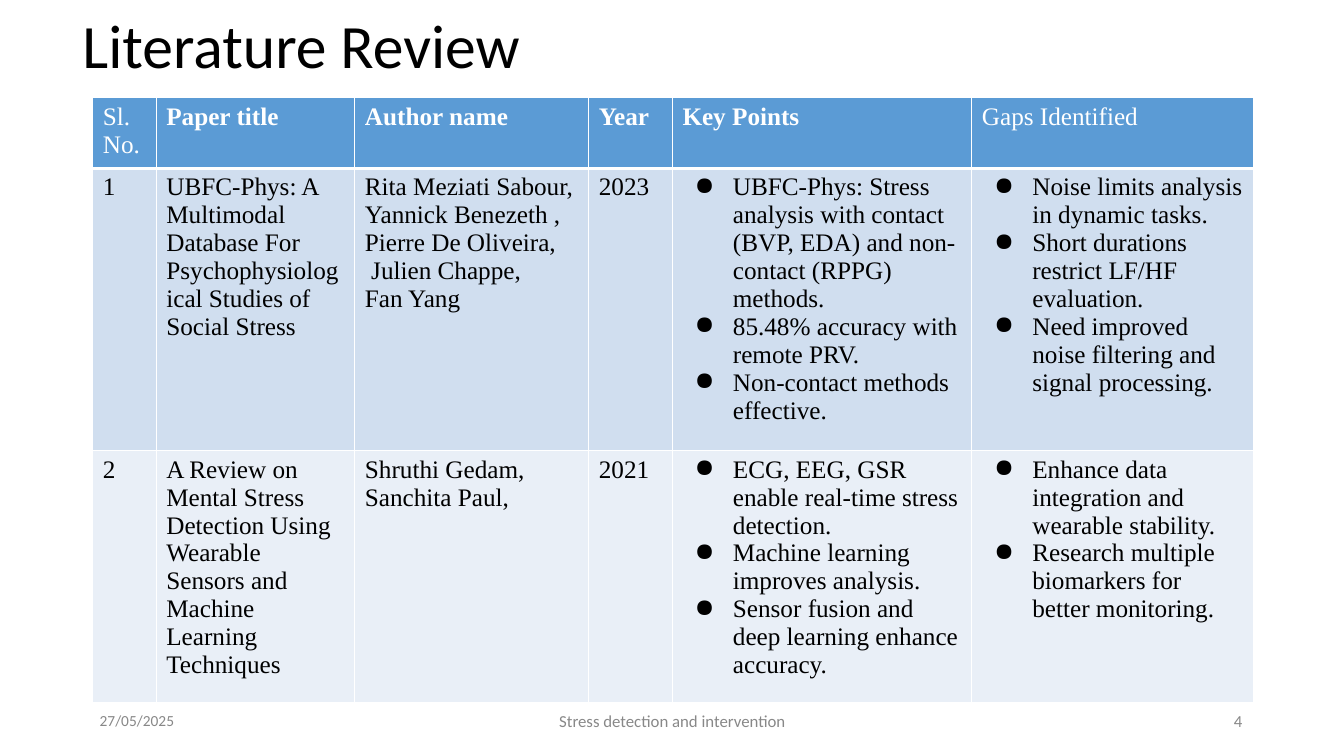
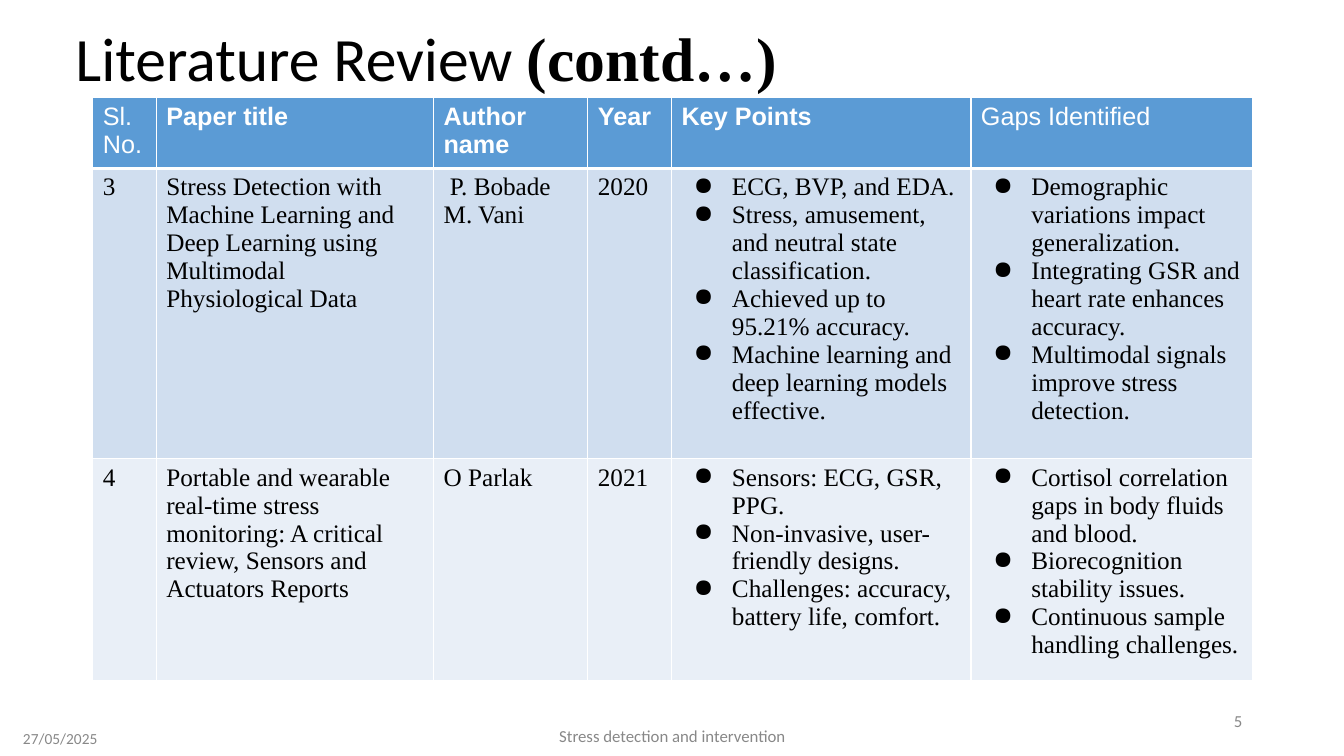
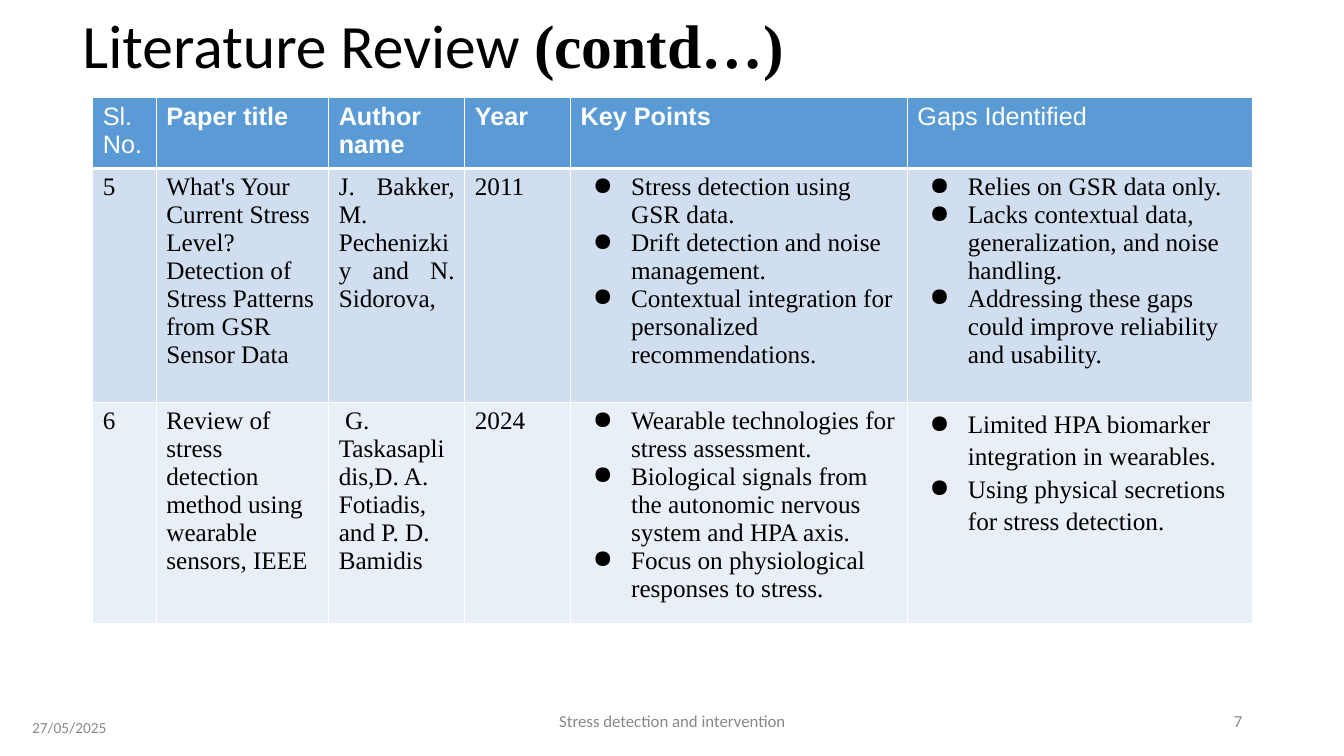
from lxml import etree
from pptx import Presentation
from pptx.dml.color import RGBColor
from pptx.enum.text import MSO_ANCHOR, PP_ALIGN
from pptx.oxml.ns import qn
from pptx.util import Pt

LEFT, MID, RIGHT, JUST = PP_ALIGN.LEFT, PP_ALIGN.CENTER, PP_ALIGN.RIGHT, PP_ALIGN.JUSTIFY
TOP, CENTER = MSO_ANCHOR.TOP, MSO_ANCHOR.MIDDLE
PX = 9144
SIZE = (1333, 750)

THEME = {
    "ink": "000000", "paper": "FFFFFF", "head": "5B9BD5", "bands": ("D0DEEF", "E9EFF7"),
    "title": {"name": "Calibri", "size": 44, "bold": False, "color": "000000"},
    "contd": {"name": "Times New Roman", "size": 44, "bold": True, "color": "000000"},
    "foot": {"name": "Calibri", "size": 12, "bold": False, "color": "888888"},
    "date": {"name": "Calibri", "size": 11, "bold": False, "color": "888888"},
    "cell": {"name": "Times New Roman", "size": 18, "bold": False, "color": "000000"},
}

HEADS = ["Sl. No.", "Paper title", "Author name", "Year", "Key Points", "Gaps Identified"]
DATE = "27/05/2025"
FOOT = "Stress detection and intervention"
NAME = "Literature Review"
MORE = [("Literature Review ", "title"), ("(contd…)", "contd")]
HIGH = (72, -24, 1150, 145)

SLIDES = [
    {
        "title": [(NAME, "title")], "place": HIGH, "number": "4", "foot": 695, "date": (89, 696),
        "font": "Times New Roman",
        "cols": [63, 197, 232, 83, 297, 279], "rows": [65, 259, 232],
        "papers": [
            ["1",
             "UBFC-Phys: A Multimodal Database For Psychophysiological Studies of Social Stress",
             ["Rita Meziati Sabour,", "Yannick Benezeth ,", "Pierre De Oliveira,",
              " Julien Chappe,", "Fan Yang"],
             "2023",
             ["UBFC-Phys: Stress analysis with contact (BVP, EDA) and non-contact (RPPG) methods.",
              "85.48% accuracy with remote PRV.",
              "Non-contact methods effective."],
             ["Noise limits analysis in dynamic tasks.",
              "Short durations restrict LF/HF evaluation.",
              "Need improved noise filtering and signal processing."]],
            ["2",
             "A Review on Mental Stress Detection Using Wearable Sensors and Machine Learning Techniques",
             ["Shruthi Gedam,", "Sanchita Paul,"],
             "2021",
             ["ECG, EEG, GSR enable real-time stress detection.",
              "Machine learning improves analysis.",
              "Sensor fusion and deep learning enhance accuracy."],
             ["Enhance data integration and wearable stability.",
              "Research multiple biomarkers for better monitoring."]],
        ],
    },
    {
        "title": MORE, "place": (65, 0, 1150, 123), "number": "5", "foot": 710, "date": (13, 714),
        "font": "Arial",
        "cols": [63, 275, 153, 83, 297, 279], "rows": [65, 288, 203],
        "papers": [
            ["3",
             "Stress Detection with Machine Learning and Deep Learning using Multimodal Physiological Data",
             " P. Bobade M. Vani",
             "2020",
             ["ECG, BVP, and EDA.",
              "Stress, amusement, and neutral state classification.",
              "Achieved up to 95.21% accuracy.",
              "Machine learning and deep learning models effective."],
             ["Demographic variations impact generalization.",
              "Integrating GSR and heart rate enhances accuracy.",
              "Multimodal signals improve stress detection."]],
            ["4",
             "Portable and wearable real-time stress monitoring: A critical review, Sensors and Actuators Reports",
             "O Parlak",
             "2021",
             ["Sensors: ECG, GSR, PPG.",
              "Non-invasive, user-friendly designs.",
              "Challenges: accuracy, battery life, comfort."],
             ["Cortisol correlation gaps in body fluids and blood.",
              "Biorecognition stability issues.",
              "Continuous sample handling challenges."]],
        ],
    },
    {
        "title": MORE, "place": HIGH, "number": "7", "foot": 695, "date": (22, 703),
        "font": "Arial",
        "cols": [63, 171, 135, 105, 334, 342], "rows": [65, 232, 203],
        "formats": {(1, 2): {"alignment": JUST}, (2, 5): {"line_spacing": 1.15}},
        "papers": [
            ["5",
             "What's Your Current Stress Level? Detection of Stress Patterns from GSR Sensor Data",
             "J. Bakker, M. Pechenizkiy and N. Sidorova,",
             "2011",
             ["Stress detection using GSR data.",
              "Drift detection and noise management.",
              "Contextual integration for personalized recommendations."],
             ["Relies on GSR data only.",
              "Lacks contextual data, generalization, and noise handling.",
              "Addressing these gaps could improve reliability and usability."]],
            ["6",
             "Review of stress detection method using wearable sensors, IEEE",
             " G. Taskasaplidis,D. A. Fotiadis, and P. D. Bamidis",
             "2024",
             ["Wearable technologies for stress assessment.",
              "Biological signals from the autonomic nervous system and HPA axis.",
              "Focus on physiological responses to stress."],
             ["Limited HPA biomarker integration in wearables.",
              "Using physical secretions for stress detection."]],
        ],
    },
]


def px(*vals):
    return [val * PX for val in vals]


def assign(obj, vals):
    for key, val in vals.items():
        setattr(obj, key, val)


def add_run(para, text, style):
    run = para.add_run()
    run.text = text
    assign(run.font, {"name": style["name"], "size": Pt(style["size"]), "bold": style["bold"]})
    run.font.color.rgb = RGBColor.from_string(style["color"])


def add_text(slide, place, runs, anchor=CENTER, pad=5, **form):
    frame = slide.shapes.add_textbox(*px(*place)).text_frame
    assign(frame, {"word_wrap": True, "vertical_anchor": anchor,
                   "margin_left": 10 * PX, "margin_right": 10 * PX,
                   "margin_top": pad * PX, "margin_bottom": pad * PX})
    para = frame.paragraphs[0]
    assign(para, form)
    for text, style in runs:
        add_run(para, text, THEME[style])


def add_color(node, color):
    etree.SubElement(node, qn("a:srgbClr"), val=color)


def add_bullet(para):
    props = para._p.get_or_add_pPr()
    props.set("marL", str(50 * PX))
    props.set("indent", str(-38 * PX))
    add_color(etree.SubElement(props, qn("a:buClr")), THEME["ink"])
    etree.SubElement(props, qn("a:buChar"), char="●")


def add_edges(cell, row):
    props = cell._tc.get_or_add_tcPr()
    for side in "LRTB":
        thick = (row, side) in ((0, "B"), (1, "T"))
        edge = etree.SubElement(props, qn("a:ln" + side), w=str(Pt(3 if thick else 1)))
        add_color(etree.SubElement(edge, qn("a:solidFill")), THEME["paper"])


def fill_cell(cell, row, col, content, style, form):
    add_edges(cell, row)
    cell.fill.solid()
    shade = THEME["bands"][row - 1] if row else THEME["head"]
    cell.fill.fore_color.rgb = RGBColor.from_string(shade)
    assign(cell, {"margin_left": 10 * PX, "margin_right": 10 * PX,
                  "margin_top": 5 * PX, "margin_bottom": 5 * PX})
    frame = cell.text_frame
    lines = [content] if isinstance(content, str) else content
    for index, line in enumerate(lines):
        para = frame.add_paragraph() if index else frame.paragraphs[0]
        if row and col > 3:
            add_bullet(para)
        assign(para, form)
        add_run(para, line, style)


def add_grid(slide, data):
    cols, rows = data["cols"], data["rows"]
    place = px(92, 97, sum(cols), sum(rows))
    table = slide.shapes.add_table(len(rows), len(cols), *place).table
    assign(table, {"first_row": False, "horz_banding": False})
    for col, width in zip(table.columns, cols):
        col.width = width * PX
    for line, height in zip(table.rows, rows):
        line.height = height * PX
    forms = data.get("formats", {})
    for row, line in enumerate([HEADS] + data["papers"]):
        for col, content in enumerate(line):
            style = dict(THEME["cell"])
            if row == 0:
                style.update(name=data["font"], color=THEME["paper"],
                             bold=0 < col < len(cols) - 1)
            fill_cell(table.cell(row, col), row, col, content, style, forms.get((row, col), {}))


def main():
    deck = Presentation()
    deck.slide_width, deck.slide_height = px(*SIZE)
    for data in SLIDES:
        slide = deck.slides.add_slide(deck.slide_layouts[6])
        add_text(slide, data["place"], data["title"], line_spacing=0.9, alignment=LEFT)
        add_text(slide, (442, data["foot"], 450, 40), [(FOOT, "foot")], alignment=MID)
        add_text(slide, (942, 695, 300, 40), [(data["number"], "foot")], alignment=RIGHT)
        add_grid(slide, data)
        add_text(slide, (*data["date"], 214, 33), [(DATE, "date")], TOP, 10, alignment=LEFT)
    deck.save("out.pptx")


if __name__ == "__main__":
    main()
